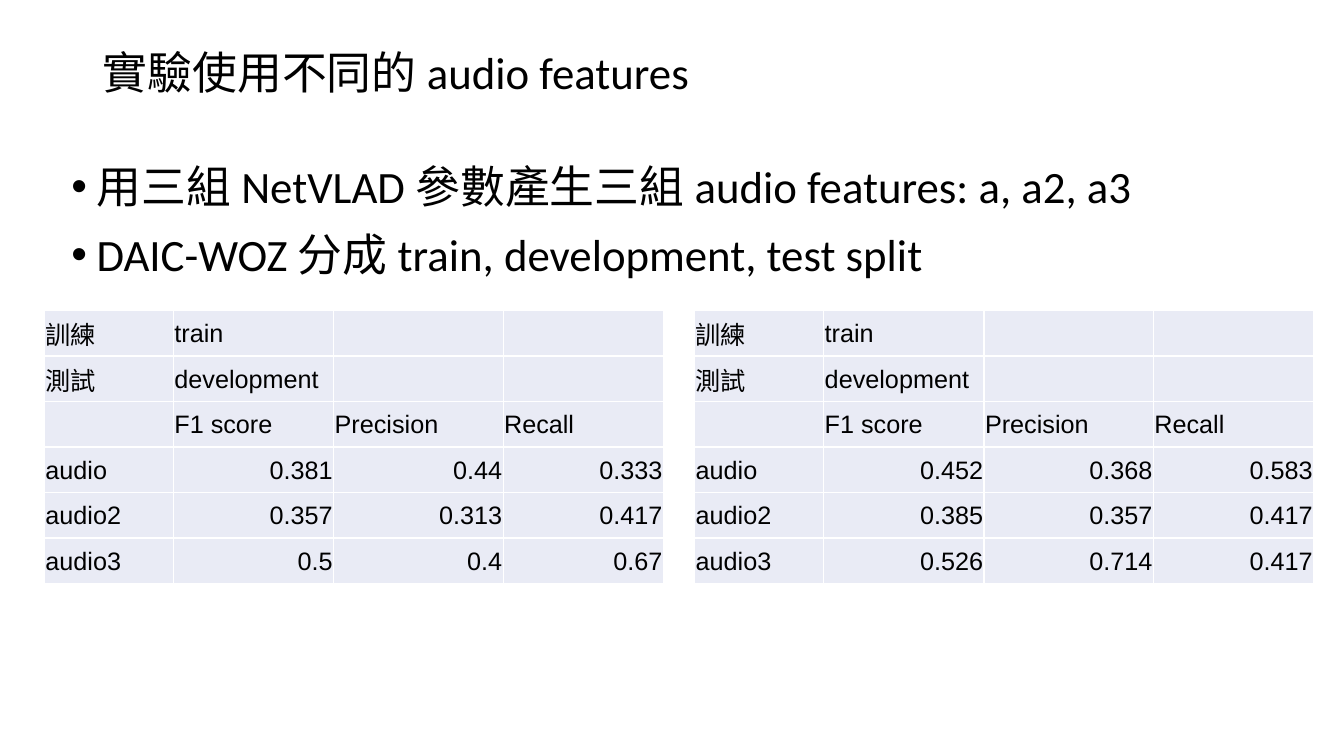
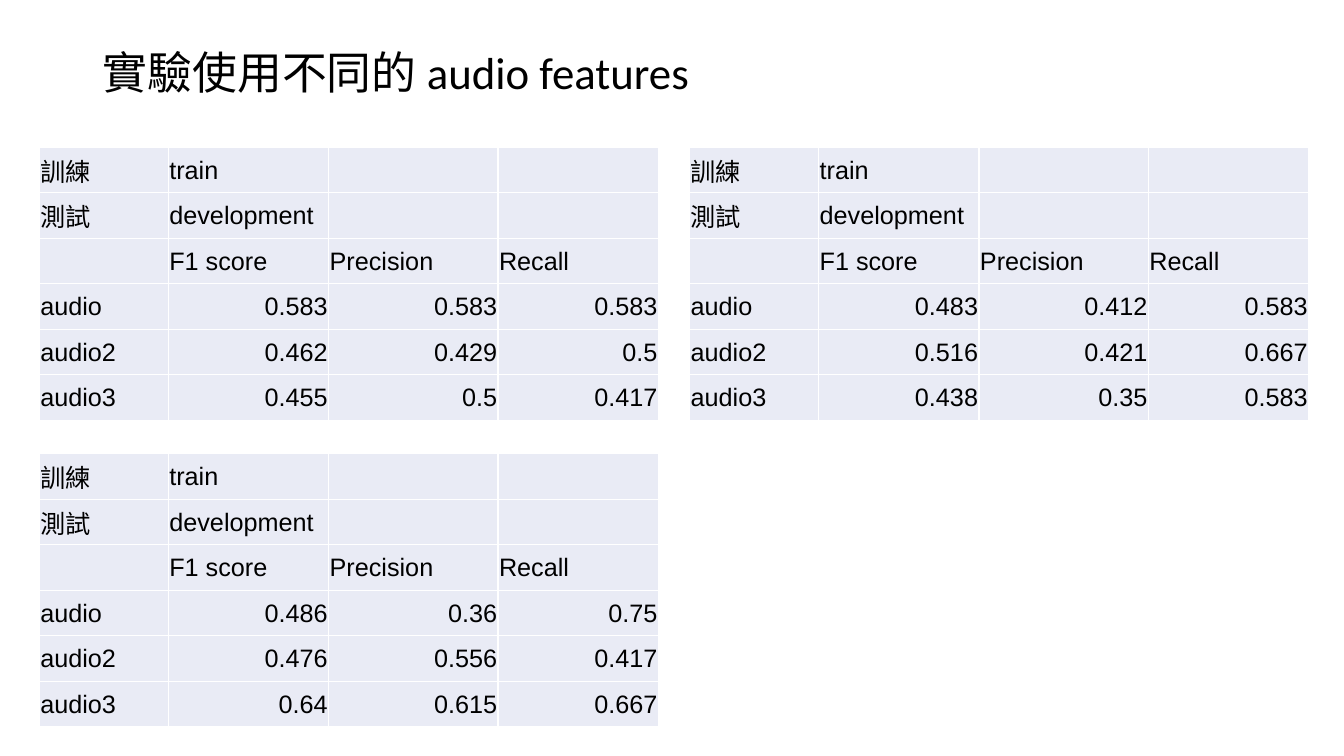
import dataclasses
import typing

import lxml.etree
import pptx
import pptx.dml.color
import pptx.enum.text
import pptx.oxml
import pptx.oxml.ns
import pptx.slide
import pptx.util

Inches = pptx.util.Inches
Pt = pptx.util.Pt
ALIGN = pptx.enum.text.PP_ALIGN
ANCHOR = pptx.enum.text.MSO_ANCHOR
qn = pptx.oxml.ns.qn

COLORS = {"text": "000000", "cell": "E9EBF5", "border": "FFFFFF"}
HEADING_FONT = "Calibri"
TABLE_FONT = "Arial"

TITLE = "實驗使用不同的 audio features"
BULLETS = (
    "用三組 NetVLAD 參數產生三組 audio features: a, a2, a3",
    "DAIC-WOZ 分成 train, development, test split",
)

HEADER_ROWS = (
    ("訓練", "train", "", ""),
    ("測試", "development", "", ""),
    ("", "F1 score", "Precision", "Recall"),
)
FEATURES = ("audio", "audio2", "audio3")
COLUMN_WIDTHS = (1.28, 1.59, 1.68, 1.59)
TABLE_HEIGHT = 2.71
COLUMN_PITCH = 6.45
ROW_PITCH = 3.04

Scores = tuple[tuple[str, str, str], ...]


@dataclasses.dataclass(frozen=True)
class ResultSlide:
    """Score tables fill a two-column grid that starts at left, top."""
    left: float
    top: float
    results: tuple[Scores, ...]
    bullets: tuple[str, ...] = ()


SLIDES = (
    ResultSlide(0.44, 3.08, (
        (("0.381", "0.44", "0.333"), ("0.357", "0.313", "0.417"), ("0.5", "0.4", "0.67")),
        (("0.452", "0.368", "0.583"), ("0.385", "0.357", "0.417"), ("0.526", "0.714", "0.417")),
    ), BULLETS),
    ResultSlide(0.39, 1.46, (
        (("0.583", "0.583", "0.583"), ("0.462", "0.429", "0.5"), ("0.455", "0.5", "0.417")),
        (("0.483", "0.412", "0.583"), ("0.516", "0.421", "0.667"), ("0.438", "0.35", "0.583")),
        (("0.486", "0.36", "0.75"), ("0.476", "0.556", "0.417"), ("0.64", "0.615", "0.667")),
    )),
)


def rgb(name: str) -> pptx.dml.color.RGBColor:
    return pptx.dml.color.RGBColor.from_string(COLORS[name])


def write(p: typing.Any, text: str, *, size: float = 32, font: str = HEADING_FONT,
          align: ALIGN = ALIGN.LEFT) -> None:
    p.alignment = align
    r = p.add_run()
    r.text = text
    r.font.size = Pt(size)
    r.font.name = font
    r.font.color.rgb = rgb("text")


def add_title(slide: pptx.slide.Slide) -> None:
    sp = slide.shapes.title
    sp.left, sp.top, sp.width, sp.height = map(Inches, (0.92, 0.02, 11.93, 1.45))
    tf = sp.text_frame
    tf.word_wrap = True
    tf.auto_size = pptx.enum.text.MSO_AUTO_SIZE.NONE
    tf.vertical_anchor = ANCHOR.MIDDLE
    p = tf.paragraphs[0]
    p.line_spacing = 0.9
    write(p, TITLE)


def add_bullets(slide: pptx.slide.Slide, bullets: tuple[str, ...]) -> None:
    sp = slide.shapes.add_textbox(*map(Inches, (0.61, 1.53, 12.12, 5.81)))
    tf = sp.text_frame
    tf.word_wrap = True
    for i, text in enumerate(bullets):
        p = tf.add_paragraph() if i else tf.paragraphs[0]
        p.space_before = Pt(10)
        write(p, text)
        p_pr = p._p.get_or_add_pPr()
        p_pr.set("marL", str(Inches(0.25)))
        p_pr.set("indent", str(-Inches(0.25)))
        lxml.etree.SubElement(p_pr, qn("a:buFont"), typeface="Arial")
        lxml.etree.SubElement(p_pr, qn("a:buChar"), char="•")


def add_borders(cell: typing.Any) -> None:
    tc_pr = cell._tc.get_or_add_tcPr()
    for side in "LRTB":
        ln = lxml.etree.SubElement(tc_pr, qn(f"a:ln{side}"), w=str(Pt(1)))
        fill = lxml.etree.SubElement(ln, qn("a:solidFill"))
        lxml.etree.SubElement(fill, qn("a:srgbClr"), val=COLORS["border"])


def format_cell(cell: typing.Any, text: str, align: ALIGN) -> None:
    add_borders(cell)
    cell.fill.solid()
    cell.fill.fore_color.rgb = rgb("cell")
    cell.vertical_anchor = ANCHOR.MIDDLE
    cell.margin_left = cell.margin_top = cell.margin_right = Inches(0.01)
    cell.margin_bottom = 0
    if text:
        write(cell.text_frame.paragraphs[0], text, size=18, font=TABLE_FONT, align=align)


def add_score_table(slide: pptx.slide.Slide, left: float, top: float, scores: Scores) -> None:
    rows = HEADER_ROWS + tuple((name, *values) for name, values in zip(FEATURES, scores))
    table = slide.shapes.add_table(
        len(rows), len(COLUMN_WIDTHS), Inches(left), Inches(top),
        Inches(sum(COLUMN_WIDTHS)), Inches(TABLE_HEIGHT)).table
    table.first_row = table.horz_banding = False
    for column, width in zip(table.columns, COLUMN_WIDTHS):
        column.width = Inches(width)
    for i, row in enumerate(rows):
        for j, text in enumerate(row):
            is_score = i >= len(HEADER_ROWS) and j > 0
            format_cell(table.cell(i, j), text, ALIGN.RIGHT if is_score else ALIGN.LEFT)


def main() -> None:
    prs = pptx.Presentation()
    prs.slide_width, prs.slide_height = Inches(13.33), Inches(7.5)
    for content in SLIDES:
        slide = prs.slides.add_slide(prs.slide_layouts.get_by_name("Title Only"))
        add_title(slide)
        if content.bullets:
            add_bullets(slide, content.bullets)
        for i, scores in enumerate(content.results):
            row, column = divmod(i, 2)
            add_score_table(slide, content.left + column * COLUMN_PITCH,
                            content.top + row * ROW_PITCH, scores)
    prs.save("out.pptx")


if __name__ == "__main__":
    main()
